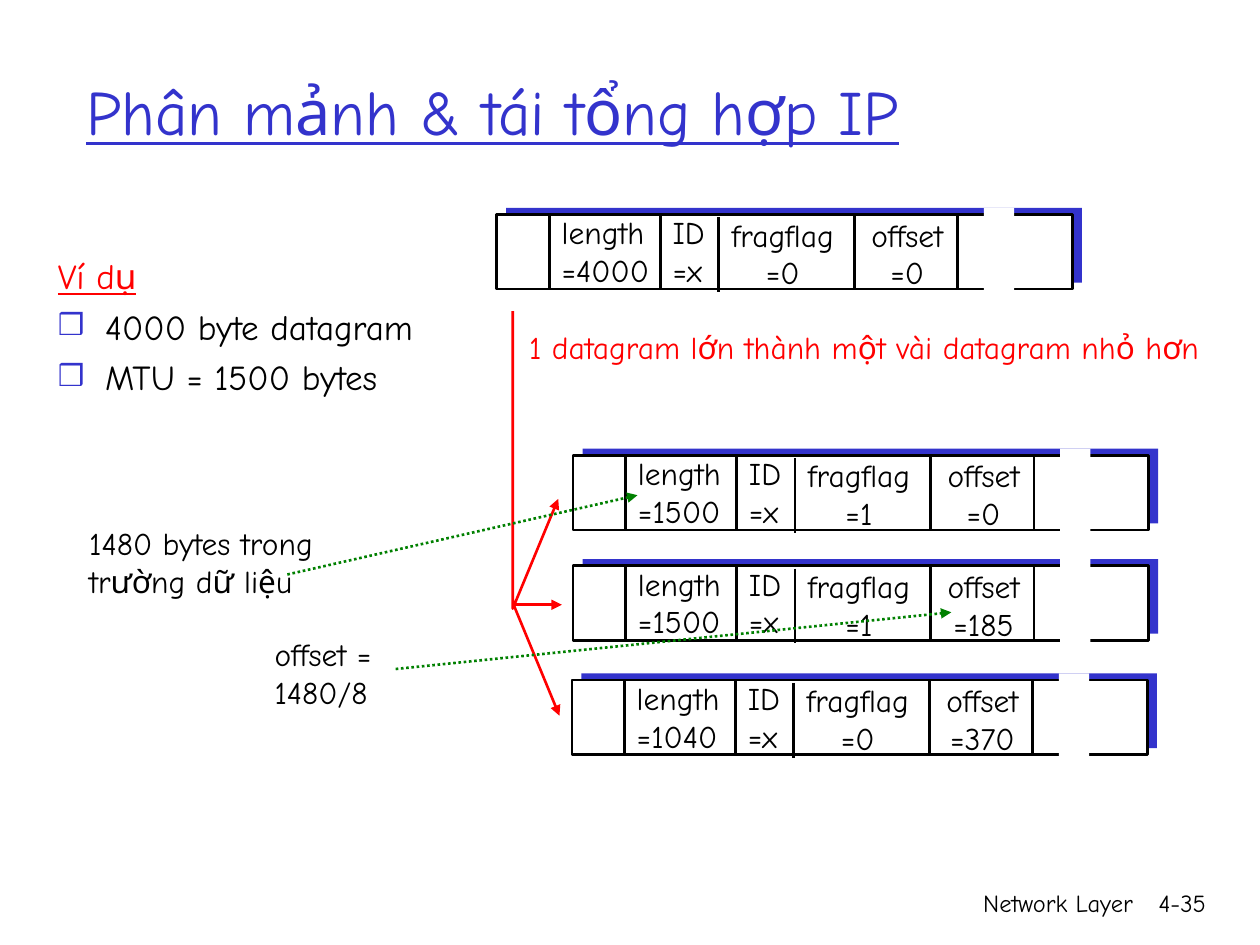
from lxml import etree
from pptx import Presentation
from pptx.dml.color import RGBColor
from pptx.enum import dml, shapes, text
from pptx.oxml.ns import qn
from pptx.util import Pt

FONT = "Comic Neue"
BLACK = RGBColor(0x00, 0x00, 0x00)
WHITE = RGBColor(0xFF, 0xFF, 0xFF)
BLUE = RGBColor(0x33, 0x33, 0xCC)
RED = RGBColor(0xFF, 0x00, 0x00)
GREEN = RGBColor(0x00, 0x80, 0x00)
LEFT, CENTER, RIGHT = text.PP_ALIGN.LEFT, text.PP_ALIGN.CENTER, text.PP_ALIGN.RIGHT

LINE_WIDTH = 1.5
BAR_WIDTH, BAR_HEIGHT = 329, 42.7
# Separator offsets from the left and top of a datagram bar
SEPARATORS = [(30, 0), (93.4, 0), (126.8, 1.6), (204.4, 0), (263.4, 0)]

# Left, top, length, fragflag, offset
DATAGRAMS = [
    (283.9, 122.6, 4000, 0, 0),
    (327.5, 260.2, 1500, 1, 0),
    (327.5, 323.3, 1500, 1, 185),
    (326.8, 388.6, 1040, 0, 370),
]


def set_values(target, values):
    for name, value in values.items():
        setattr(target, name, value)


def format_paragraph(paragraph, color=BLACK, size=18, align=LEFT, underline=False):
    paragraph.alignment = align
    set_values(paragraph.font, {"name": FONT, "size": Pt(size), "underline": underline})
    paragraph.font.color.rgb = color


def add_text(slide, box, lines, wrap=True, **style):
    """Add a text box with one paragraph per line; unwrapped boxes fit their text."""
    shape = slide.shapes.add_textbox(*map(Pt, box))
    frame = shape.text_frame
    fit = text.MSO_AUTO_SIZE.NONE if wrap else text.MSO_AUTO_SIZE.SHAPE_TO_FIT_TEXT
    set_values(frame, {"text": "\n".join(lines), "word_wrap": wrap, "auto_size": fit})
    for paragraph in frame.paragraphs:
        format_paragraph(paragraph, **style)
    return frame


def add_title(slide, words):
    title = slide.shapes.title
    set_values(title, {"left": Pt(42), "top": Pt(18), "width": Pt(612), "height": Pt(90)})
    set_values(title.text_frame, {
        "text": words,
        "vertical_anchor": text.MSO_ANCHOR.MIDDLE,
        "auto_size": text.MSO_AUTO_SIZE.NONE,
    })
    format_paragraph(title.text_frame.paragraphs[0], BLUE, 36, underline=True)


def add_rectangle(slide, box, fill, outlined=False):
    shape = slide.shapes.add_shape(shapes.MSO_SHAPE.RECTANGLE, *map(Pt, box))
    shape.shadow.inherit = False
    shape.fill.solid()
    shape.fill.fore_color.rgb = fill
    if outlined:
        format_line(shape.line, BLACK)
    else:
        shape.line.fill.background()


def format_line(line, color):
    line.color.rgb = color
    line.width = Pt(LINE_WIDTH)


def add_arrowhead(shape):
    etree.SubElement(shape.line._get_or_add_ln(), qn("a:tailEnd"), type="triangle")


def add_line(slide, start, end, color=BLACK, arrow=False, dotted=False):
    line = slide.shapes.add_connector(
        shapes.MSO_CONNECTOR.STRAIGHT, *map(Pt, start + end))
    format_line(line.line, color)
    if dotted:
        line.line.dash_style = dml.MSO_LINE.ROUND_DOT
    if arrow:
        add_arrowhead(line)
    etree.SubElement(line._element.spPr, qn("a:effectLst"))


def add_bent_arrow(slide, points, color):
    start, *rest = [(Pt(x), Pt(y)) for x, y in points]
    builder = slide.shapes.build_freeform(*start)
    builder.add_line_segments(rest, close=False)
    shape = builder.convert_to_shape()
    shape.shadow.inherit = False
    shape.fill.background()
    format_line(shape.line, color)
    add_arrowhead(shape)


def add_datagram(slide, left, top, length, fragflag, offset):
    """Draw a header bar with its fields and a gap that breaks the data part."""
    add_rectangle(slide, (left + 5.4, top - 3.8, BAR_WIDTH, BAR_HEIGHT), BLUE)
    add_rectangle(slide, (left, top, BAR_WIDTH, BAR_HEIGHT), WHITE, outlined=True)
    fields = [
        ("length", length, 30, -4.2, 66, LEFT),
        ("ID", "x", 93.4, -4.2, 35, LEFT),
        ("fragflag", fragflag, 127, -2.9, 72.7, CENTER),
        ("offset", offset, 206.9, -2.9, 55.4, CENTER),
    ]
    for name, value, x, y, width, align in fields:
        add_text(slide, (left + x, top + y, width, 50.4), [name, f"={value}"], align=align)
    for x, y in SEPARATORS:
        add_line(slide, (left + x, top + y), (left + x, top + y + BAR_HEIGHT))
    add_rectangle(slide, (left + 278.3, top - 3.8, 17.3, 47.5), WHITE)


def add_bullet(paragraph):
    properties = paragraph._p.get_or_add_pPr()
    color = etree.SubElement(properties, qn("a:buClr"))
    etree.SubElement(color, qn("a:srgbClr"), val=str(BLUE))
    etree.SubElement(properties, qn("a:buSzPct"), val="85000")
    etree.SubElement(properties, qn("a:buFont"), typeface=FONT)
    etree.SubElement(properties, qn("a:buChar"), char="❒")


def add_example(slide):
    lines = ["Ví dụ", "4000 byte datagram", "MTU = 1500 bytes"]
    frame = add_text(slide, (26, 141.8, 223, 132.5), lines, size=20)
    heading, *items = frame.paragraphs
    for paragraph in frame.paragraphs:
        paragraph.space_before = Pt(5)
        properties = paragraph._p.get_or_add_pPr()
        properties.set("marL", str(Pt(27)))
        properties.set("indent", str(Pt(-27)))
    format_paragraph(heading, RED, 20, underline=True)
    for paragraph in items:
        add_bullet(paragraph)


def main():
    presentation = Presentation()
    set_values(presentation, {"slide_width": Pt(720), "slide_height": Pt(540)})
    slide = presentation.slides.add_slide(presentation.slide_layouts[5])

    add_text(slide, (426, 504, 228.5, 36), ["Network Layer"], size=14, align=RIGHT)
    add_text(slide, (643, 504, 53.3, 36), ["4-35"], size=14, align=RIGHT)
    add_title(slide, "Phân mảnh & tái tổng hợp IP")

    for datagram in DATAGRAMS:
        add_datagram(slide, *datagram)

    add_bent_arrow(slide, [(293, 177.8), (293, 347.8), (319, 285.1)], RED)
    add_line(slide, (293, 345.6), (321.1, 345.6), RED, arrow=True)
    add_line(slide, (293.8, 346.3), (319.7, 409), RED, arrow=True)
    add_text(slide, (295.2, 184, 399.6, 28.8),
             ["1 datagram lớn thành một vài datagram nhỏ hơn"], wrap=False, color=RED)

    add_example(slide)
    add_text(slide, (43.9, 295.9, 149, 50.4),
             ["1480 bytes trong", "trường dữ liệu"], wrap=False)
    add_line(slide, (164.2, 328.3), (364.3, 283), GREEN, arrow=True, dotted=True)
    add_text(slide, (149.8, 359.5, 73.4, 50.4), ["offset =", "1480/8"], wrap=False)
    add_line(slide, (226.1, 382.3), (543.6, 349.9), GREEN, arrow=True, dotted=True)

    presentation.save("out.pptx")


if __name__ == "__main__":
    main()
